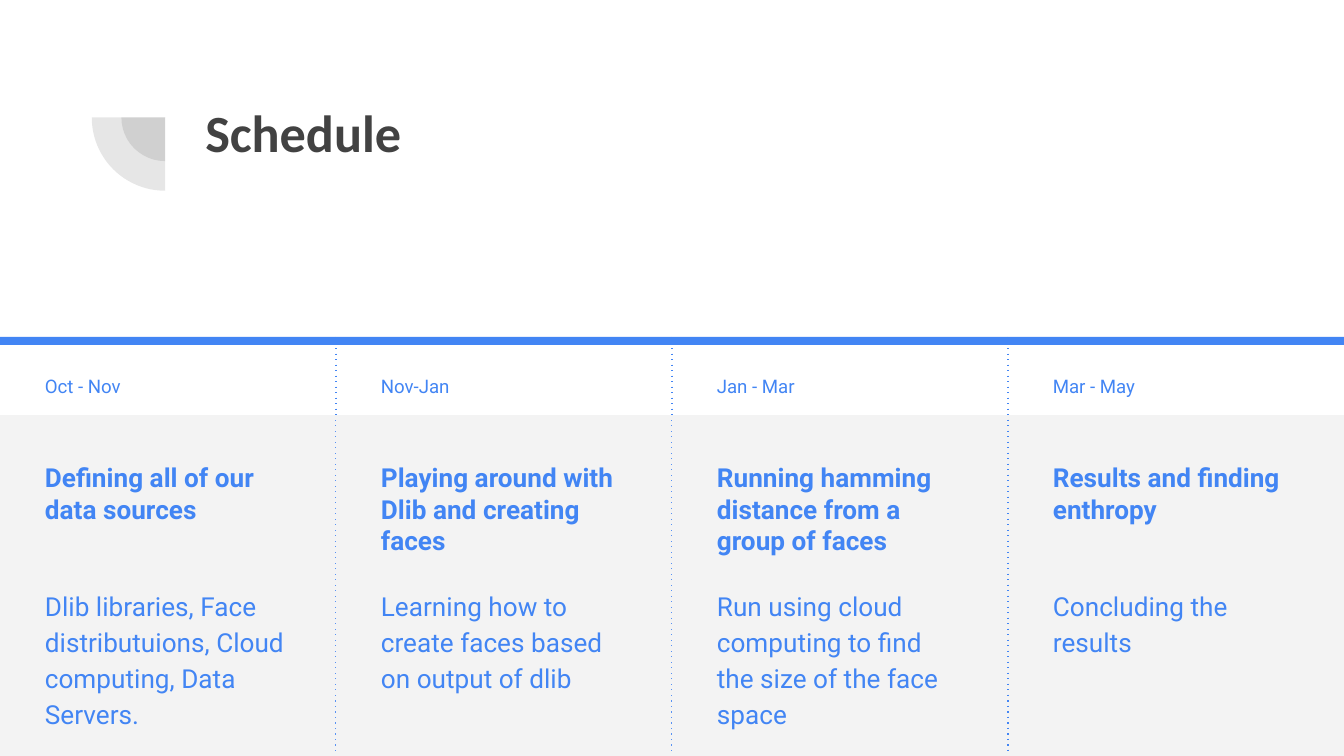
from lxml import etree
from pptx import Presentation
from pptx.dml.color import RGBColor
from pptx.enum.dml import MSO_LINE
from pptx.enum.shapes import MSO_CONNECTOR, MSO_SHAPE
from pptx.enum.text import MSO_ANCHOR, PP_ALIGN
from pptx.oxml.ns import qn
from pptx.util import Cm, Pt

BLUE = RGBColor(0x42, 0x85, 0xF4)
DARK = RGBColor(0x42, 0x42, 0x42)
PALE = RGBColor(0xF3, 0xF3, 0xF3)

SLIDE_WIDTH, SLIDE_HEIGHT = 25.4, 14.29
TIMELINE_TOP = 6.37
INSET = 0.25

PHASES = [
    ("Oct - Nov", "Defining all of our data sources",
     "Dlib libraries, Face distributuions, Cloud computing, Data Servers."),
    ("Nov-Jan", "Playing around with Dlib and creating faces",
     "Learning how to create faces based on output of dlib"),
    ("Jan - Mar", "Running hamming distance from a group of faces",
     "Run using cloud computing to find the size of the face space"),
    ("Mar - May", "Results and finding enthropy", "Concluding the results"),
]


def add_filled_shape(slide, kind, left, top, width, height, color):
    shape = slide.shapes.add_shape(kind, Cm(left), Cm(top), Cm(width), Cm(height))
    shape.shadow.inherit = False
    shape.fill.solid()
    shape.fill.fore_color.rgb = color
    shape.line.fill.background()
    return shape


def add_text(slide, left, top, width, height, text, size, font="Roboto",
             color=BLUE, bold=False, spacing=None, space_after=0):
    box = slide.shapes.add_textbox(Cm(left), Cm(top), Cm(width), Cm(height))
    frame = box.text_frame
    frame.word_wrap = True
    frame.vertical_anchor = MSO_ANCHOR.TOP
    frame.margin_left = frame.margin_right = Cm(INSET)
    frame.margin_top = frame.margin_bottom = Cm(INSET)
    paragraph = frame.paragraphs[0]
    paragraph.alignment = PP_ALIGN.LEFT
    paragraph.space_after = Pt(space_after)
    if spacing:
        paragraph.line_spacing = spacing
    run = paragraph.add_run()
    run.text = text
    run.font.name = font
    run.font.size = Pt(size)
    run.font.bold = bold
    run.font.color.rgb = color


def add_dotted_line(slide, x, top, bottom):
    line = slide.shapes.add_connector(
        MSO_CONNECTOR.STRAIGHT, Cm(x), Cm(top), Cm(x), Cm(bottom))
    line.line.color.rgb = BLUE
    line.line.width = Pt(0.75)
    line.line.dash_style = MSO_LINE.ROUND_DOT
    properties = line.element.find(qn("p:spPr"))
    next(properties.iter(qn("a:prstDash"))).set("val", "dot")
    etree.SubElement(properties, qn("a:effectLst"))


def add_header(slide, left, top, width, height):
    center_x, center_y = left + 1.39, top + 1.39
    for diameter in (1.65, 2.77):
        pie = add_filled_shape(
            slide, MSO_SHAPE.PIE, center_x - diameter / 2, center_y - diameter / 2,
            diameter, diameter, DARK)
        pie.rotation = 270
        pie.adjustments[0] = 108
        pie.adjustments[1] = 162
        color = next(pie.element.iter(qn("a:srgbClr")))
        etree.SubElement(color, qn("a:alpha"), val="13000")
    add_text(slide, left + 1.9, top + 0.82, width - 1.9, height - 0.82,
             "Schedule", 28, font="Calibri", color=DARK, bold=True)


def add_phase(slide, left, top, width, height, phase, divided):
    dates, heading, detail = phase
    text_left, text_width = left + 0.6, 5.16
    add_filled_shape(slide, MSO_SHAPE.RECTANGLE, left, top + 1.48, width, height - 1.48, PALE)
    add_filled_shape(slide, MSO_SHAPE.RECTANGLE, left, top, width, 0.15, BLUE)
    add_text(slide, text_left, top + 0.41, 2.41, 0.71, dates, 10,
             spacing=1.15, space_after=16)
    add_text(slide, text_left, top + 2.11, text_width, 2.21, heading, 14, bold=True)
    add_text(slide, text_left, top + 4.45, text_width, 2.77, detail, 14,
             spacing=1.15, space_after=16)
    if divided:
        add_dotted_line(slide, left + width, top, top + height - 0.04)


def add_timeline(slide, left, top, width, height):
    column_width = width / len(PHASES)
    last = len(PHASES) - 1
    for index in (last, *range(last)):
        add_phase(slide, left + index * column_width, top, column_width, height,
                  PHASES[index], divided=index < last)


def main():
    presentation = Presentation()
    presentation.slide_width = Cm(SLIDE_WIDTH)
    presentation.slide_height = Cm(SLIDE_HEIGHT)
    slide = presentation.slides.add_slide(presentation.slide_layouts[6])
    add_header(slide, 1.73, 0.83, 21.43, 3.59)
    add_timeline(slide, 0, TIMELINE_TOP, SLIDE_WIDTH, SLIDE_HEIGHT - TIMELINE_TOP)
    presentation.save("out.pptx")


if __name__ == "__main__":
    main()
